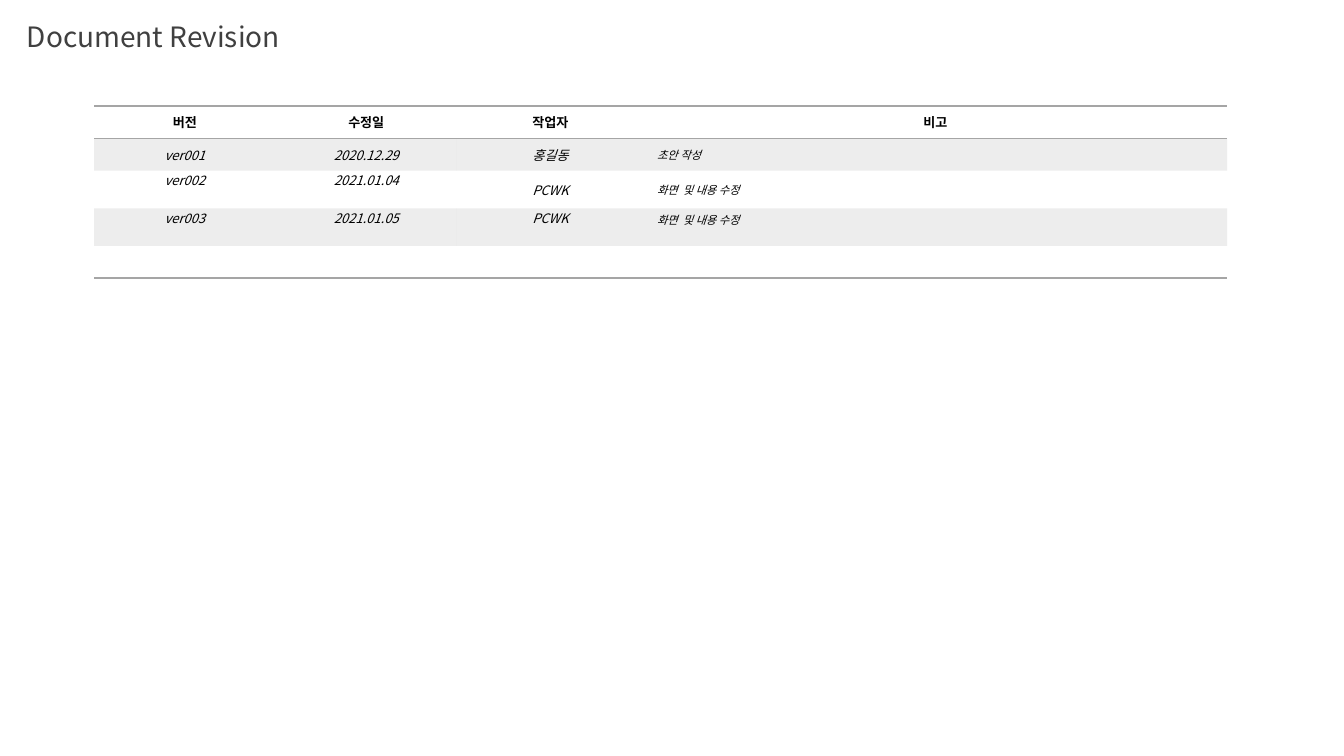
from dataclasses import dataclass

from lxml import etree
from pptx import Presentation
from pptx.dml.color import RGBColor
from pptx.enum import text
from pptx.oxml.ns import qn
from pptx.util import Inches, Pt


@dataclass(frozen=True)
class Theme:
    font: str = "Noto Sans CJK KR"
    title_color: str = "404040"
    text_color: str = "000000"
    gray: str = "A5A5A5"
    band_alpha: int = 20
    title_size: int = 15
    cell_size: int = 7
    note_size: int = 6
    rule_width: int = 1


THEME = Theme()
NO_STYLE_NO_GRID = "{2D5ABB26-0587-4C30-8999-92F81FD0307C}"
TOP, MIDDLE = text.MSO_ANCHOR.TOP, text.MSO_ANCHOR.MIDDLE

HEADERS = ["버전", "수정일", "작업자", "비고"]
REVISIONS = [
    ["ver001", "2020.12.29", "홍길동", "초안 작성"],
    ["ver002", "2021.01.04", "PCWK", "화면  및 내용 수정"],
    ["ver003", "2021.01.05", "PCWK", "화면  및 내용 수정"],
]
ANCHORS = [
    [MIDDLE] * 4,
    [TOP, TOP, MIDDLE, MIDDLE],
    [TOP] * 4,
]
COLUMN_WIDTHS = [1.35, 1.35, 1.39, 4.34]
ROW_HEIGHTS = [0.24, 0.24, 0.28, 0.28, 0.24]


def add_span(para, words, size, color, bold=False, italic=False):
    span = para.add_run()
    span.text = words
    font = span.font
    font.size, font.bold, font.italic = Pt(size), bold, italic
    font.color.rgb = RGBColor.from_string(color)
    font.name = THEME.font
    east_asian = etree.SubElement(span._r.get_or_add_rPr(), qn("a:ea"))
    east_asian.set("typeface", THEME.font)


def add_title(page, words):
    title = page.shapes.title
    title.left, title.top = Inches(0), Inches(0)
    title.width, title.height = Inches(8.23), Inches(0.58)
    frame = title.text_frame
    frame.auto_size = text.MSO_AUTO_SIZE.NONE
    frame.vertical_anchor = MIDDLE
    frame.margin_left = Inches(0.2)
    para = frame.paragraphs[0]
    para.alignment = text.PP_ALIGN.LEFT
    para.line_spacing = 0.9
    add_span(para, words, THEME.title_size, THEME.title_color)


def set_rules(cell, *sides):
    """Draw gray rules on the given sides: "T" for top, "B" for bottom."""
    properties = cell._tc.get_or_add_tcPr()
    for position, side in enumerate(sides):
        line = etree.Element(qn(f"a:ln{side}"), w=str(Pt(THEME.rule_width)))
        fill = etree.SubElement(line, qn("a:solidFill"))
        etree.SubElement(fill, qn("a:srgbClr"), val=THEME.gray)
        properties.insert(position, line)


def set_band(cell):
    cell.fill.solid()
    cell.fill.fore_color.rgb = RGBColor.from_string(THEME.gray)
    color = cell._tc.tcPr.find(qn("a:solidFill")).find(qn("a:srgbClr"))
    etree.SubElement(color, qn("a:alpha"), val=str(THEME.band_alpha * 1000))


def fill_header(cell, words):
    cell.vertical_anchor = MIDDLE
    para = cell.text_frame.paragraphs[0]
    para.alignment = text.PP_ALIGN.CENTER
    add_span(para, words, THEME.cell_size, THEME.text_color, bold=True)
    set_rules(cell, "T", "B")


def fill_revision(cell, words, anchor, is_note):
    cell.vertical_anchor = anchor
    cell.margin_left = Inches(0.1 if is_note else 0)
    cell.margin_right = cell.margin_bottom = 0
    cell.margin_top = Inches(0.02 if is_note and anchor == TOP else 0)
    para = cell.text_frame.paragraphs[0]
    para.alignment = text.PP_ALIGN.LEFT if is_note else text.PP_ALIGN.CENTER
    size = THEME.note_size if is_note else THEME.cell_size
    add_span(para, words, size, THEME.text_color, italic=True)


def close_table(cell):
    """Keep an empty last-row cell low and rule it off."""
    para = cell.text_frame.paragraphs[0]
    etree.SubElement(para._p, qn("a:endParaRPr"), sz=str(THEME.cell_size * 100))
    set_rules(cell, "B")


def add_revision_table(page):
    frame = page.shapes.add_table(
        len(ROW_HEIGHTS), len(COLUMN_WIDTHS), Inches(0.7), Inches(0.79),
        Inches(sum(COLUMN_WIDTHS)), Inches(sum(ROW_HEIGHTS)))
    table = frame.table
    table.first_row = table.horz_banding = False
    table._tbl.tblPr.find(qn("a:tableStyleId")).text = NO_STYLE_NO_GRID
    for column, width in zip(table.columns, COLUMN_WIDTHS):
        column.width = Inches(width)
    for row, height in zip(table.rows, ROW_HEIGHTS):
        row.height = Inches(height)

    last_column = len(HEADERS) - 1
    for column, words in enumerate(HEADERS):
        fill_header(table.cell(0, column), words)
        close_table(table.cell(len(ROW_HEIGHTS) - 1, column))
    for row, (entries, anchors) in enumerate(zip(REVISIONS, ANCHORS), start=1):
        for column, (words, anchor) in enumerate(zip(entries, anchors)):
            cell = table.cell(row, column)
            fill_revision(cell, words, anchor, column == last_column)
            if row % 2:
                set_band(cell)
            else:
                cell.fill.background()


def main():
    deck = Presentation()
    deck.slide_width = Inches(10)
    deck.slide_height = deck.slide_width * 9 // 16
    page = deck.slides.add_slide(deck.slide_layouts[5])
    add_title(page, "Document Revision")
    add_revision_table(page)
    deck.save("out.pptx")


if __name__ == "__main__":
    main()
